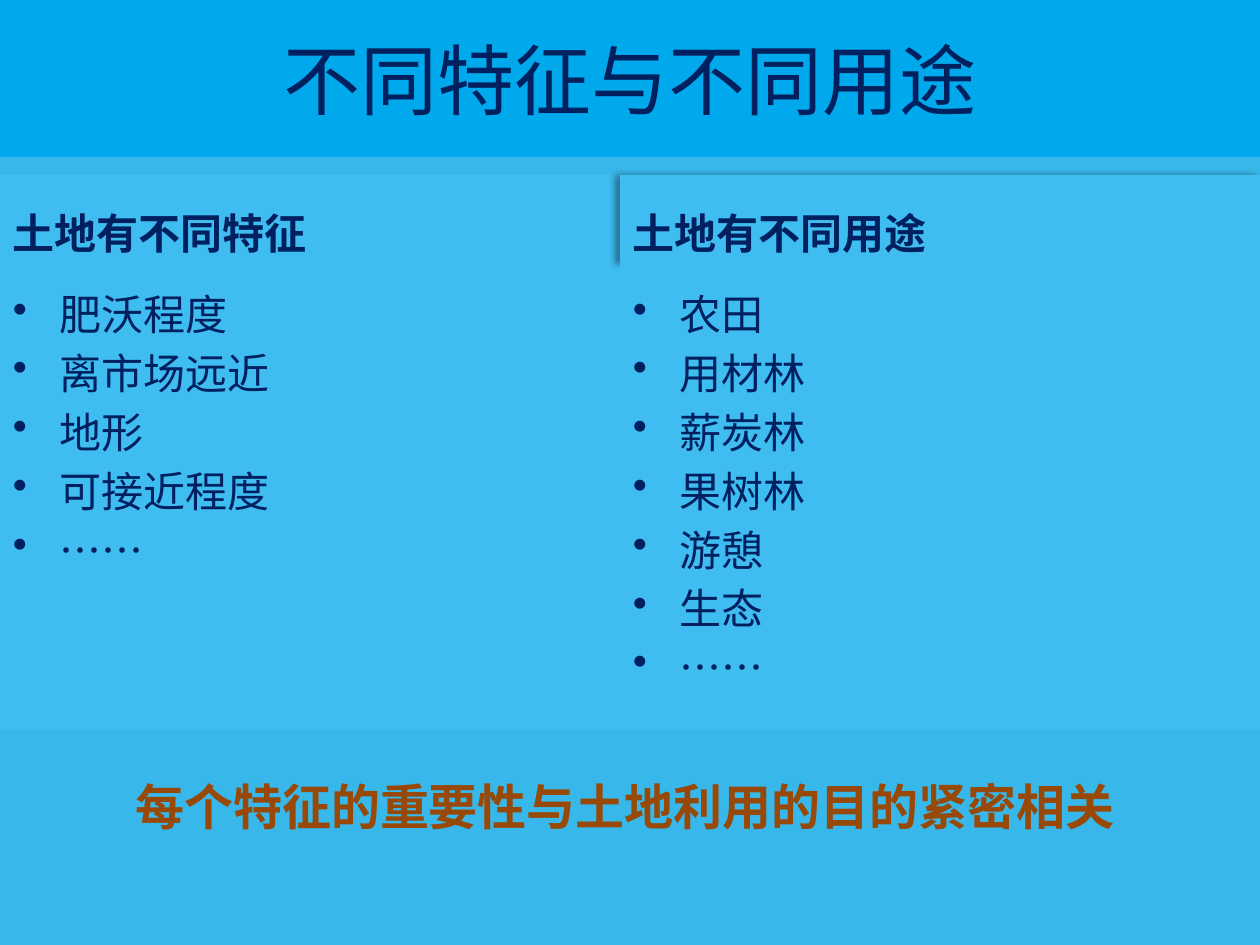
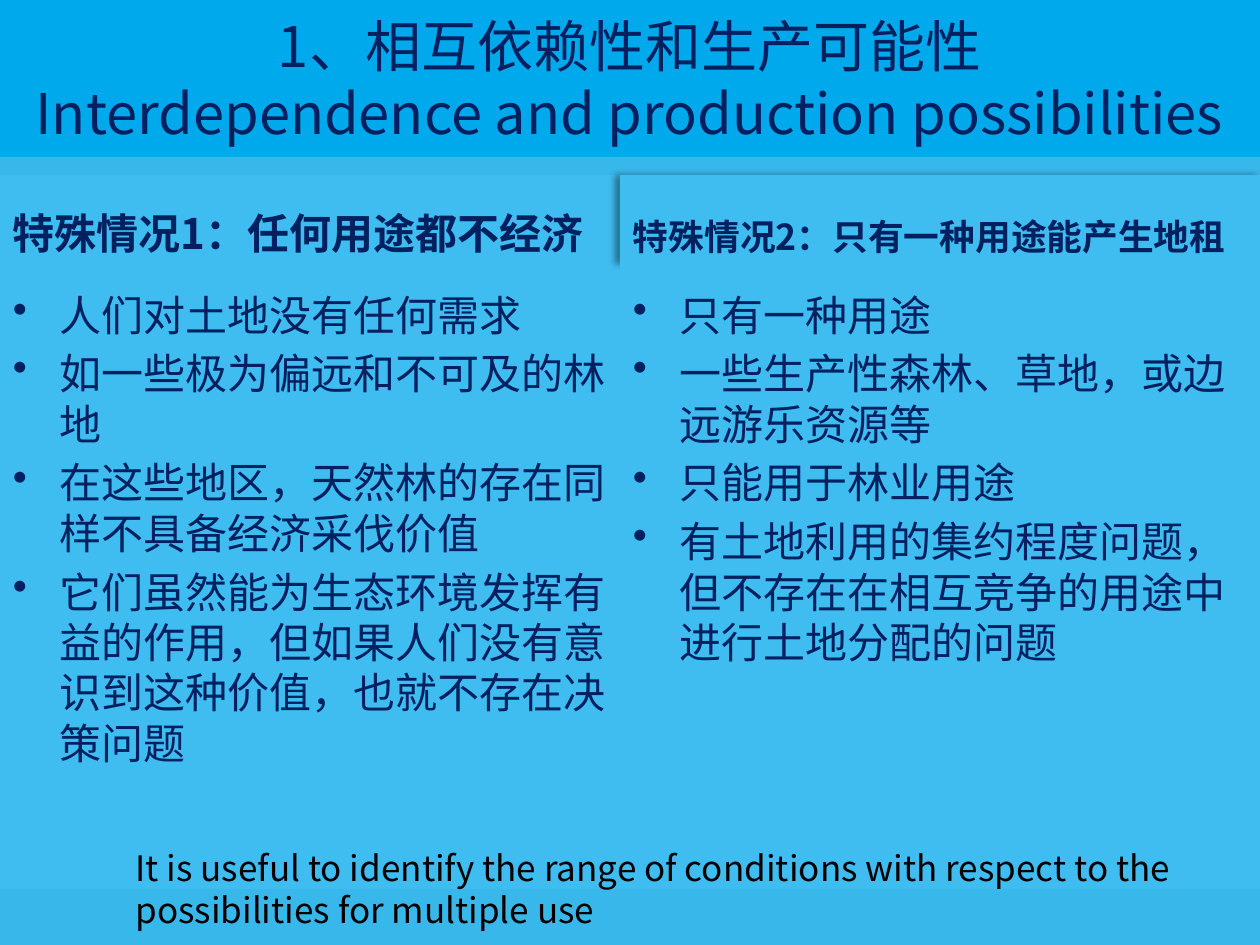
from copy import deepcopy

from lxml import etree
from pptx import Presentation
from pptx import util as u
from pptx.dml.color import RGBColor
from pptx.enum import text
from pptx.oxml import ns

FONT = "Noto Sans CJK SC"
NAVY = RGBColor(0x00, 0x20, 0x60)
BLACK = RGBColor(0, 0, 0)
BROWN = RGBColor(0x98, 0x48, 0x07)
PURPLE = RGBColor(0x70, 0x30, 0xA0)
LILAC = RGBColor(0xB3, 0xA2, 0xC7)
BACKGROUND = RGBColor(0x38, 0xB7, 0xEA)
TITLE_BAND = RGBColor(0x00, 0xA9, 0xEC)
PANEL = RGBColor(0x3F, 0xBC, 0xF0)

WIDTH, HEIGHT = 1260, 945
TITLE_HEIGHT = 157
COLUMNS_TOP, HEADER_HEIGHT, SPLIT = 175, 89, 620
HANGING = 47


def px(n):
    return u.Emu(round(n * 914400 / 126))


def place(sp, box):
    sp.left, sp.top, sp.width, sp.height = map(px, box)


def child(parent, tag, **attributes):
    return etree.SubElement(parent, ns.qn(tag), attributes)


def style(p, size, color=NAVY, bold=False):
    for r in p.runs:
        r.font.size = u.Pt(size)
        r.font.bold = bold
        r.font.color.rgb = color
        r.font.name = FONT
        child(r.font._element, "a:ea", typeface=FONT)
    for br in p._p.findall(ns.qn("a:br")):
        br.insert(0, deepcopy(p.runs[0].font._element))


def add_title(s, title, size):
    sp = s.shapes.title
    place(sp, (0, 0, WIDTH, TITLE_HEIGHT))
    sp.fill.solid()
    sp.fill.fore_color.rgb = TITLE_BAND
    tf = sp.text_frame
    tf.text = title
    tf.auto_size = text.MSO_AUTO_SIZE.NONE
    tf.vertical_anchor = text.MSO_ANCHOR.MIDDLE
    p = tf.paragraphs[0]
    p.alignment = text.PP_ALIGN.CENTER
    style(p, size)


def add_panel(s, box, lines):
    sp = s.shapes.add_textbox(0, 0, 0, 0)
    place(sp, box)
    sp.fill.solid()
    sp.fill.fore_color.rgb = PANEL
    tf = sp.text_frame
    tf.word_wrap = True
    tf.margin_left = tf.margin_right = px(13)
    tf.margin_top, tf.margin_bottom = px(25), px(6)
    tf.text = "\n".join(lines)
    return sp


def add_shadow(sp):
    effects = child(sp._element.spPr, "a:effectLst")
    shadow = child(effects, "a:outerShdw", blurRad=str(u.Pt(4)), dist=str(u.Pt(3)),
                   dir="10800000", algn="r", rotWithShape="0")
    color = child(shadow, "a:srgbClr", val=str(BLACK))
    child(color, "a:alpha", val="40000")


def add_column(s, box, header, items, header_size=24, line_spacing=None, shadow=False):
    left, top, width, height = box
    sp = add_panel(s, (left, top, width, HEADER_HEIGHT), [header])
    sp.text_frame.vertical_anchor = text.MSO_ANCHOR.BOTTOM
    p = sp.text_frame.paragraphs[0]
    p.line_spacing = line_spacing
    style(p, header_size, bold=True)
    if shadow:
        add_shadow(sp)

    sp = add_panel(s, (left, top + HEADER_HEIGHT, width, height - HEADER_HEIGHT), items)
    for i, p in enumerate(sp.text_frame.paragraphs):
        pPr = p._p.get_or_add_pPr()
        pPr.set("marL", str(px(HANGING)))
        pPr.set("indent", str(-px(HANGING)))
        child(pPr, "a:buChar", char="•")
        if i:
            p.space_before = u.Pt(4.8)
        style(p, 24)


def add_caption(s, box, caption, size, color, bold=False, wrap=True):
    sp = s.shapes.add_textbox(0, 0, 0, 0)
    place(sp, box)
    tf = sp.text_frame
    tf.word_wrap = wrap
    tf.auto_size = text.MSO_AUTO_SIZE.SHAPE_TO_FIT_TEXT
    tf.text = caption
    style(tf.paragraphs[0], size, color, bold)
    return tf.paragraphs[0].runs[0]


def add_glow_text(r):
    fill = r.font.fill
    fill.gradient()
    fill.gradient_angle = 270
    for stop, color in zip(fill.gradient_stops, (BROWN, PURPLE)):
        stop.color.rgb = color
    ln = etree.Element(ns.qn("a:ln"), w=str(u.Pt(0.75)))
    child(child(ln, "a:solidFill"), "a:srgbClr", val=str(LILAC))
    r.font._element.insert(0, ln)


def add_comparison(prs, title, title_size, bottom, left, right, **right_header):
    s = prs.slides.add_slide(prs.slide_layouts[5])
    add_title(s, title, title_size)
    height = bottom - COLUMNS_TOP
    add_column(s, (0, COLUMNS_TOP, SPLIT, height), *left)
    add_column(s, (SPLIT, COLUMNS_TOP, WIDTH - SPLIT, height), *right,
               shadow=True, **right_header)
    return s


def main():
    prs = Presentation()
    prs.slide_width, prs.slide_height = px(WIDTH), px(HEIGHT)
    fill = prs.slide_master.background.fill
    fill.solid()
    fill.fore_color.rgb = BACKGROUND

    s = add_comparison(
        prs, "不同特征与不同用途", 44, 730,
        ("土地有不同特征", ["肥沃程度", "离市场远近", "地形", "可接近程度", "……"]),
        ("土地有不同用途", ["农田", "用材林", "薪炭林", "果树林", "游憩", "生态", "……"]))
    r = add_caption(s, (123, 770, 1016, 72), "每个特征的重要性与土地利用的目的紧密相关",
                    28, BROWN, bold=True, wrap=False)
    add_glow_text(r)

    s = add_comparison(
        prs, "1、相互依赖性和生产可能性\vInterdependence and production possibilities", 32, 889,
        ("特殊情况1：任何用途都不经济",
         ["人们对土地没有任何需求",
          "如一些极为偏远和不可及的林地",
          "在这些地区，天然林的存在同样不具备经济采伐价值",
          "它们虽然能为生态环境发挥有益的作用，但如果人们没有意识到这种价值，也就不存在决策问题"]),
        ("特殊情况2：只有一种用途能产生地租",
         ["只有一种用途",
          "一些生产性森林、草地，或边远游乐资源等",
          "只能用于林业用途",
          "有土地利用的集约程度问题，但不存在在相互竞争的用途中进行土地分配的问题"]),
        header_size=20.4, line_spacing=0.9)
    add_caption(s, (123, 840, 1091, 97),
                "It is useful to identify the range of conditions with respect to the "
                "possibilities for multiple use", 20, BLACK)

    prs.save("out.pptx")


if __name__ == "__main__":
    main()
